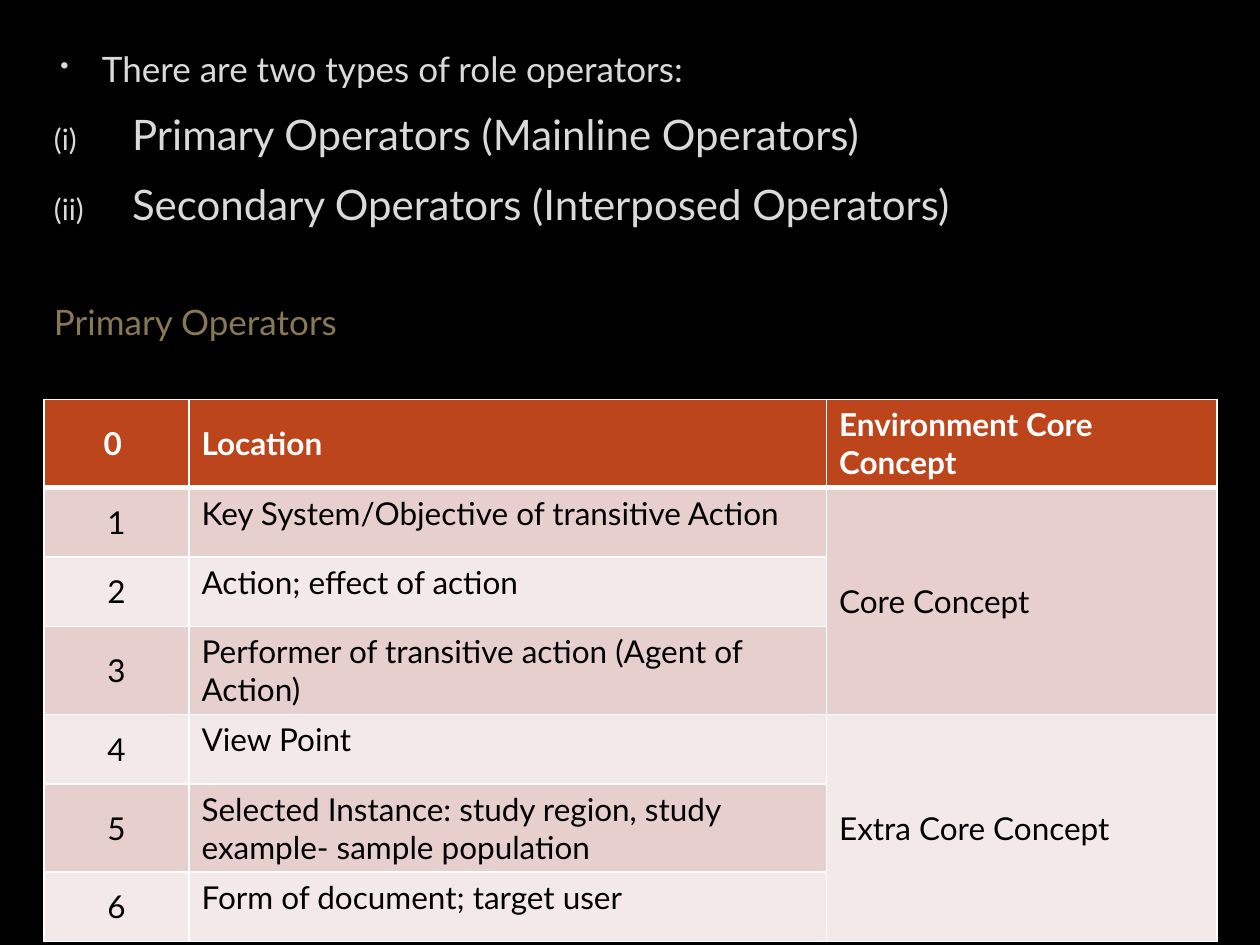
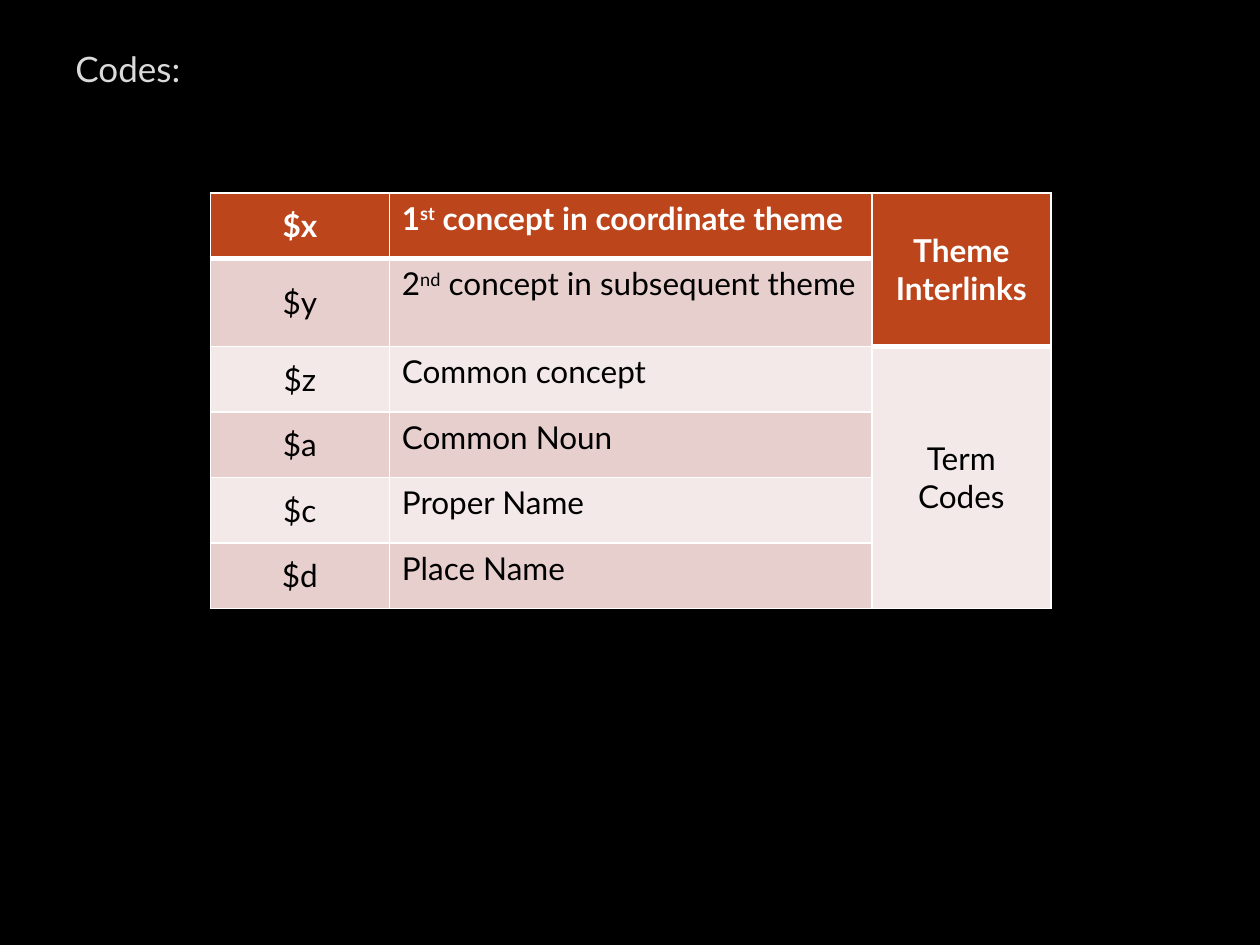
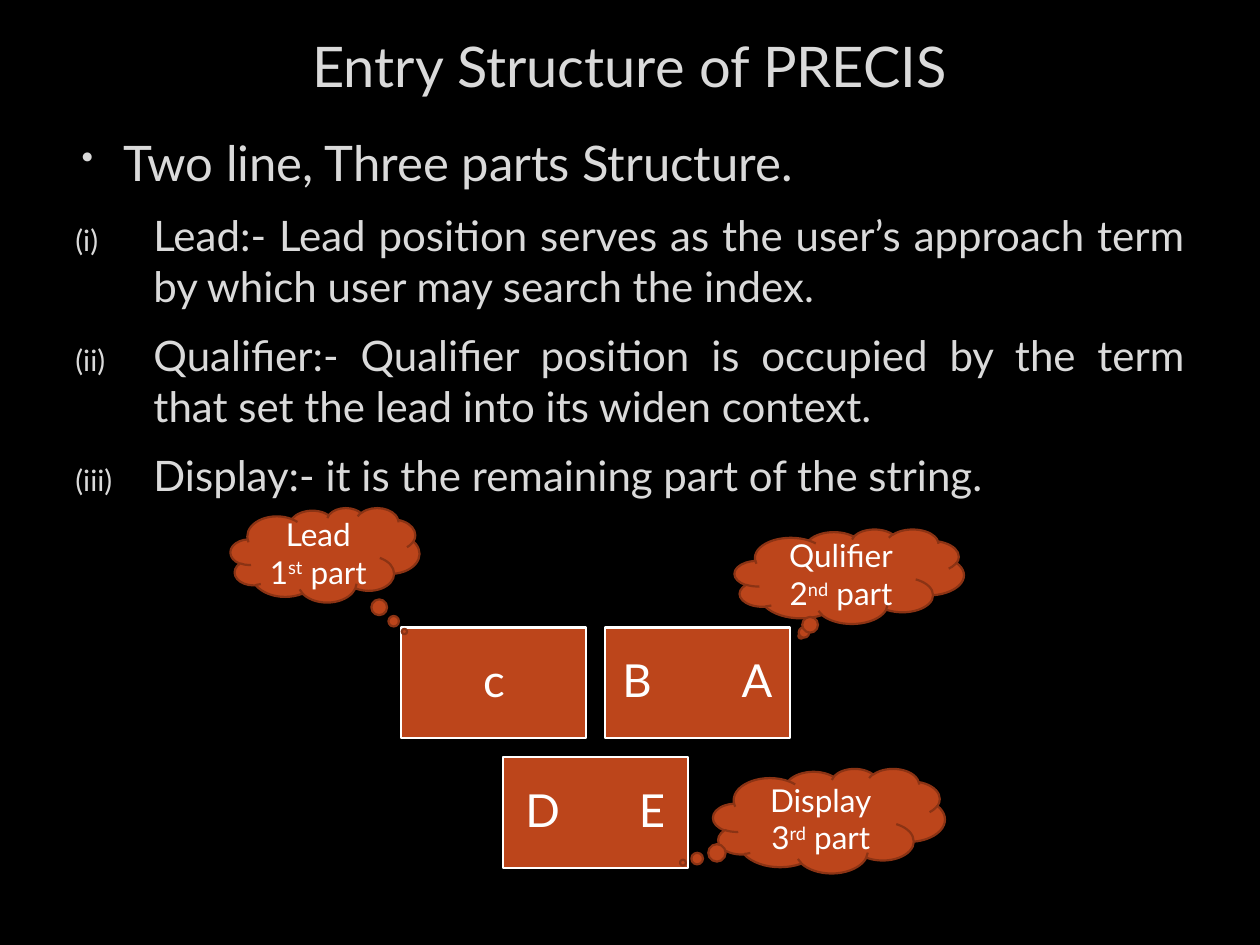
from dataclasses import dataclass
from typing import NamedTuple

from lxml.etree import SubElement
from pptx import Presentation
from pptx.dml.color import RGBColor
from pptx.enum.shapes import MSO_SHAPE as Shape
from pptx.enum.text import MSO_ANCHOR as Anchor, PP_ALIGN as Align
from pptx.oxml.ns import qn
from pptx.util import Inches, Pt


@dataclass(frozen=True)
class Theme:
    font: str = "Lato"
    background: str = "000000"
    text: str = "DADADA"
    heading: str = "897855"
    accent: str = "BC451B"
    accent_line: str = "8B3314"
    white: str = "FFFFFF"
    black: str = "000000"
    bands: tuple[str, str] = ("E7CFCD", "F3E9E8")
    title: int = 32
    lead: int = 28
    letter: int = 26
    item: int = 24
    body: int = 20
    small: int = 18


T = Theme()


class Box(NamedTuple):
    left: float
    top: float
    width: float
    height: float

    def emu(self) -> list:
        return [Inches(v) for v in self]


class Line(NamedTuple):
    text: str
    size: int = T.body
    color: str = T.text
    marker: str = ""
    align: Align | None = None
    gap: float | None = None


class Span(NamedTuple):
    text: str
    rows: int


@dataclass
class Grid:
    box: Box
    widths: list[float]
    rows: list[tuple[str, str]]
    groups: list[Span]
    group_align: Align
    header_anchor: Anchor


class Cloud(NamedTuple):
    box: Box
    text: str
    tail: tuple[float, float]


class Tile(NamedTuple):
    column: float
    row: int
    text: str
    inset: float = 0.11


def rgb(value: str) -> RGBColor:
    return RGBColor.from_string(value)


def write(p, text: str, size: int, color: str, bold: bool = False) -> None:
    """Fill a paragraph; parts between ^ marks are superscript."""
    for i, part in enumerate(text.split("^")):
        r = p.add_run()
        r.text = part
        f = r.font
        f.name, f.size, f.bold = T.font, Pt(size), bold
        f.color.rgb = rgb(color)
        if i % 2:
            r._r.get_or_add_rPr().set("baseline", "30000")


def add_marker(p, marker: str) -> None:
    numbered = marker == "(i)"
    ppr = p._p.get_or_add_pPr()
    ppr.set("marL", str(Inches(0.62 if numbered else 0.38)))
    ppr.set("indent", str(-Inches(0.62 if numbered else 0.33)))
    SubElement(SubElement(ppr, qn("a:buClr")), qn("a:srgbClr")).set("val", T.text)
    SubElement(ppr, qn("a:buSzPct")).set("val", "70000")
    if numbered:
        SubElement(ppr, qn("a:buAutoNum")).set("type", "romanLcParenBoth")
    else:
        SubElement(ppr, qn("a:buChar")).set("char", marker)


def add_slide(prs):
    s = prs.slides.add_slide(prs.slide_layouts[6])
    s.background.fill.solid()
    s.background.fill.fore_color.rgb = rgb(T.background)
    return s


def add_text(s, box: Box, lines: list[Line], anchor: Anchor = Anchor.TOP) -> None:
    tf = s.shapes.add_textbox(*box.emu()).text_frame
    tf.word_wrap = True
    tf.vertical_anchor = anchor
    for i, line in enumerate(lines):
        p = tf.paragraphs[0] if i == 0 else tf.add_paragraph()
        if i:
            p.space_before = Pt(0.2 * line.size if line.gap is None else line.gap)
        p.space_after = Pt(6)
        p.alignment = line.align
        if line.marker:
            add_marker(p, line.marker)
        write(p, line.text, line.size, line.color)


def set_borders(cell, first: bool, header: bool) -> None:
    widths = {"lnL": 1, "lnR": 1, "lnT": 1, "lnB": 3 if header else 1}
    if not first:
        del widths["lnT"]
    tcpr = cell._tc.get_or_add_tcPr()
    for i, (tag, width) in enumerate(widths.items()):
        ln = tcpr.makeelement(qn(f"a:{tag}"), {"w": str(Pt(width))})
        fill = SubElement(ln, qn("a:solidFill"))
        SubElement(fill, qn("a:srgbClr")).set("val", T.white)
        tcpr.insert(i, ln)


def style_cell(cell, text: str, row: int, origin: int, align: Align, anchor: Anchor) -> None:
    """Style by the row where the cell, or its span, begins."""
    header = origin == 0
    cell.fill.solid()
    cell.fill.fore_color.rgb = rgb(T.accent if header else T.bands[(origin - 1) % 2])
    set_borders(cell, row == 0, header)
    cell.vertical_anchor = anchor
    if text:
        p = cell.text_frame.paragraphs[0]
        p.alignment = align
        write(p, text, T.small, T.white if header else T.black, header)


def add_grid(s, grid: Grid) -> None:
    count = len(grid.rows)
    table = s.shapes.add_table(count, len(grid.widths), *grid.box.emu()).table
    for column, width in zip(table.columns, grid.widths):
        column.width = Inches(width)
    for row, (code, meaning) in enumerate(grid.rows):
        table.rows[row].height = Inches(grid.box.height / count)
        style_cell(table.cell(row, 0), code, row, row, Align.CENTER, Anchor.MIDDLE)
        anchor = Anchor.TOP if row else grid.header_anchor
        style_cell(table.cell(row, 1), meaning, row, row, Align.LEFT, anchor)
    start = 0
    for group in grid.groups:
        end = start + group.rows
        for row in range(start, end):
            text = group.text if row == start else ""
            style_cell(table.cell(row, 2), text, row, start, grid.group_align, Anchor.MIDDLE)
        if group.rows > 1:
            table.cell(start, 2).merge(table.cell(end - 1, 2))
        start = end


def add_filled(s, kind: Shape, box: Box, line: str):
    sp = s.shapes.add_shape(kind, *box.emu())
    sp.shadow.inherit = False
    sp.fill.solid()
    sp.fill.fore_color.rgb = rgb(T.accent)
    sp.line.color.rgb = rgb(line)
    sp.line.width = Pt(1.25)
    sp.text_frame.word_wrap = True
    sp.text_frame.vertical_anchor = Anchor.MIDDLE
    return sp


def add_tile(s, tile: Tile) -> None:
    """Draw a string part; a tab sends its second letter to the right edge."""
    width, height, gap = 1.47, 0.88, 0.15
    box = Box(3.18 + tile.column * (width + gap), 4.98 + tile.row * (height + gap), width, height)
    tf = add_filled(s, Shape.RECTANGLE, box, T.white).text_frame
    tf.margin_left = Inches(tile.inset)
    tf.margin_right = Inches(0.1)
    p = tf.paragraphs[0]
    p.line_spacing = 0.9
    p.alignment = Align.CENTER
    if "\t" in tile.text:
        p.alignment = Align.LEFT
        tabs = SubElement(p._p.get_or_add_pPr(), qn("a:tabLst"))
        stop = Inches(width - 2 * tile.inset)
        SubElement(tabs, qn("a:tab"), {"pos": str(stop), "algn": "r"})
    write(p, tile.text, T.letter, T.white)


def add_cloud(s, cloud: Cloud) -> None:
    sp = add_filled(s, Shape.CLOUD_CALLOUT, cloud.box, T.accent_line)
    for i, value in enumerate(cloud.tail):
        sp.adjustments[i] = value
    tf = sp.text_frame
    for i, text in enumerate(cloud.text.split("\n")):
        p = tf.paragraphs[0] if i == 0 else tf.add_paragraph()
        p.alignment = Align.CENTER
        write(p, text, T.small, T.white)


OPERATORS = Grid(
    Box(0.35, 3.17, 9.31, 3.85),
    [1.15, 5.06, 3.1],
    [
        ("0 ", "Location"),
        ("1", "Key System/Objective of transitive Action"),
        ("2", "Action; effect of action"),
        ("3", "Performer of transitive action (Agent of Action)"),
        ("4", "View Point"),
        ("5", "Selected Instance: study region, study example- sample population"),
        ("6", "Form of document; target user"),
    ],
    [Span("Environment Core Concept", 1), Span("Core Concept", 3), Span("Extra Core Concept", 3)],
    Align.LEFT,
    Anchor.MIDDLE,
)

CODES = Grid(
    Box(1.67, 1.53, 6.67, 3.12),
    [1.42, 3.83, 1.42],
    [
        ("$x", "1^st^ concept in coordinate theme"),
        ("$y", "2^nd^ concept in subsequent theme"),
        ("$z", "Common concept"),
        ("$a", "Common Noun"),
        ("$c", "Proper Name"),
        ("$d", "Place Name"),
    ],
    [Span("Theme Interlinks", 2), Span("Term Codes", 4)],
    Align.CENTER,
    Anchor.TOP,
)

PARTS = [
    "Lead:- Lead position serves as the user’s approach term by which user may search the index.",
    "Qualifier:- Qualifier position is occupied by the term that set the lead into its widen context.",
    "Display:- it is the remaining part of the string.",
]
TILES = [Tile(0, 0, "c"), Tile(1, 0, "B\tA", 0.14), Tile(0.5, 1, "D\tE", 0.18)]
CLOUDS = [
    Cloud(Box(1.83, 4.03, 1.5, 0.75), "Lead\n1^st^ part", (0.42, 0.81)),
    Cloud(Box(5.83, 4.2, 1.82, 0.75), "Qulifier\n2^nd^ part", (-0.21, 0.63)),
    Cloud(Box(5.66, 6.1, 1.84, 0.83), "Display\n3^rd^ part", (-0.63, 0.4)),
]


def operators_slide(prs) -> None:
    s = add_slide(prs)
    add_text(s, Box(0.33, 0.33, 9.42, 6.92), [
        Line("There are two types of role operators:", marker="•"),
        Line("Primary Operators (Mainline Operators)", T.item, marker="(i)"),
        Line("Secondary Operators (Interposed Operators)", T.item, marker="(i)"),
        Line("Primary Operators", color=T.heading, gap=35),
    ])
    add_grid(s, OPERATORS)


def codes_slide(prs) -> None:
    s = add_slide(prs)
    add_text(s, Box(0.5, 0.33, 9, 6.92), [Line("Codes:")])
    add_grid(s, CODES)


def structure_slide(prs) -> None:
    s = add_slide(prs)
    title = Line("Entry Structure of PRECIS", T.title, align=Align.CENTER)
    add_text(s, Box(0.5, 0.17, 9, 0.7), [title], Anchor.MIDDLE)
    lines = [Line("Two line, Three parts Structure.", T.lead, marker="•")]
    lines += [Line(part, T.item, marker="(i)", align=Align.JUSTIFY) for part in PARTS]
    add_text(s, Box(0.5, 1, 9, 6.25), lines)
    for tile in TILES:
        add_tile(s, tile)
    for cloud in CLOUDS:
        add_cloud(s, cloud)


def main() -> None:
    prs = Presentation()
    prs.slide_width, prs.slide_height = Inches(10), Inches(7.5)
    operators_slide(prs)
    codes_slide(prs)
    structure_slide(prs)
    prs.save("out.pptx")


if __name__ == "__main__":
    main()
